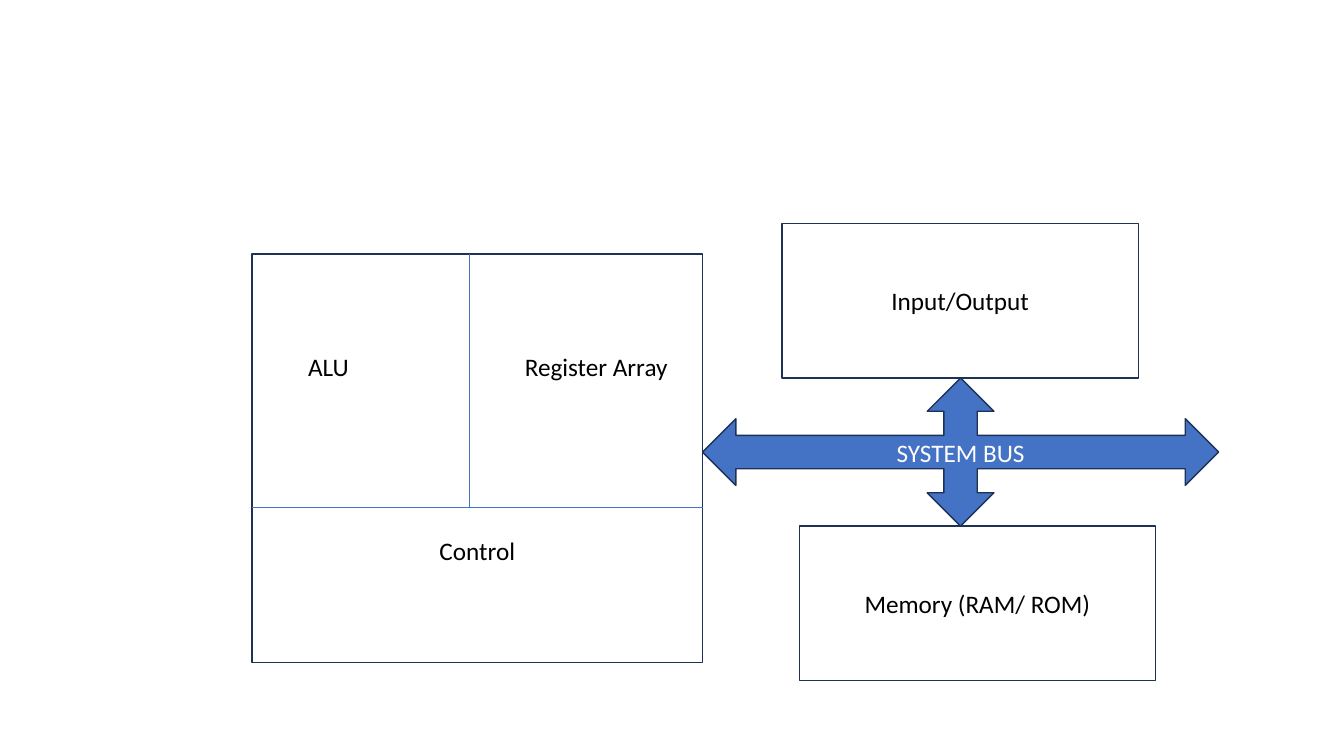
"""Builds a block diagram of a microprocessor joined to I/O and memory by the system bus."""
import pptx
import pptx.dml.color
import pptx.enum.shapes
import pptx.enum.text
import pptx.oxml
import pptx.oxml.ns
import pptx.util
from lxml import etree

SHAPES = pptx.enum.shapes.MSO_SHAPE
ALIGN = pptx.enum.text.PP_ALIGN
BLUE, NAVY, WHITE, BLACK = "4472C4", "1E3256", "FFFFFF", "000000"


def colour(hex_value):
    return pptx.dml.color.RGBColor.from_string(hex_value)


class Diagram:
    """Draws blocks and dividers on a slide with a grid of 40 columns and 30 rows."""

    font_name = "Calibri"
    font_size = pptx.util.Pt(18)

    def __init__(self, presentation):
        self.column = presentation.slide_width / 40
        self.row = presentation.slide_height / 30
        self.slide = presentation.slides.add_slide(presentation.slide_layouts[6])

    def x(self, columns):
        return round(columns * self.column)

    def y(self, rows):
        return round(rows * self.row)

    def label(self, paragraph, text, ink, tab_columns=()):
        paragraph.text = text
        paragraph.alignment = ALIGN.LEFT if tab_columns else ALIGN.CENTER
        if tab_columns:
            properties = paragraph._p.get_or_add_pPr()
            tabs = etree.SubElement(properties, pptx.oxml.ns.qn("a:tabLst"))
            for position in tab_columns:
                etree.SubElement(tabs, pptx.oxml.ns.qn("a:tab"),
                                 pos=str(self.x(position)), algn="ctr")
        paragraph.font.name = self.font_name
        paragraph.font.size = self.font_size
        paragraph.font.color.rgb = colour(ink)

    def block(self, left, top, width, height, text, kind=SHAPES.FLOWCHART_PROCESS,
              fill=WHITE, ink=BLACK, tab_columns=()):
        block = self.slide.shapes.add_shape(
            kind, self.x(left), self.y(top), self.x(width), self.y(height))
        block.shadow.inherit = False
        block.fill.solid()
        block.fill.fore_color.rgb = colour(fill)
        block.line.color.rgb = colour(NAVY)
        block.line.width = pptx.util.Pt(1)
        block.text_frame.vertical_anchor = pptx.enum.text.MSO_ANCHOR.MIDDLE
        self.label(block.text_frame.paragraphs[0], text, ink, tab_columns)
        return block

    def divider(self, start, end):
        divider = self.slide.shapes.add_connector(
            pptx.enum.shapes.MSO_CONNECTOR.STRAIGHT,
            self.x(start[0]), self.y(start[1]), self.x(end[0]), self.y(end[1]))
        divider.line.color.rgb = colour(BLUE)
        divider.line.width = pptx.util.Pt(0.5)
        etree.SubElement(divider._element.spPr, pptx.oxml.ns.qn("a:effectLst"))


def main():
    presentation = pptx.Presentation()
    presentation.slide_width = pptx.util.Inches(13.33)
    presentation.slide_height = pptx.util.Inches(7.5)
    diagram = Diagram(presentation)

    cpu_left, cpu_top, cpu_right, cpu_height = 7.5, 10.08, 20.91, 16.2
    alu_right, control_top = 13.98, 20.12
    unit_width, unit_height = 10.6, 6.12
    bus_top, bus_width, bus_height = 15, 15.36, 5.88

    processor = diagram.block(cpu_left, cpu_top, cpu_right - cpu_left, cpu_height,
                              "\tALU\tRegister Array", tab_columns=(1.98, 9.95))
    control = processor.text_frame.add_paragraph()
    diagram.label(control, "Control", BLACK)
    control.space_before = pptx.util.Pt(110)
    diagram.divider((alu_right, cpu_top), (alu_right, control_top))
    diagram.divider((cpu_left, control_top), (cpu_right, control_top))

    diagram.block(23.28, bus_top - unit_height, unit_width, unit_height, "Input/Output")
    diagram.block(23.79, bus_top + bus_height, unit_width, unit_height, "Memory (RAM/ ROM)")
    diagram.block(cpu_right, bus_top, bus_width, bus_height, "SYSTEM BUS",
                  SHAPES.QUAD_ARROW, BLUE, WHITE)
    presentation.save("out.pptx")


if __name__ == "__main__":
    main()
